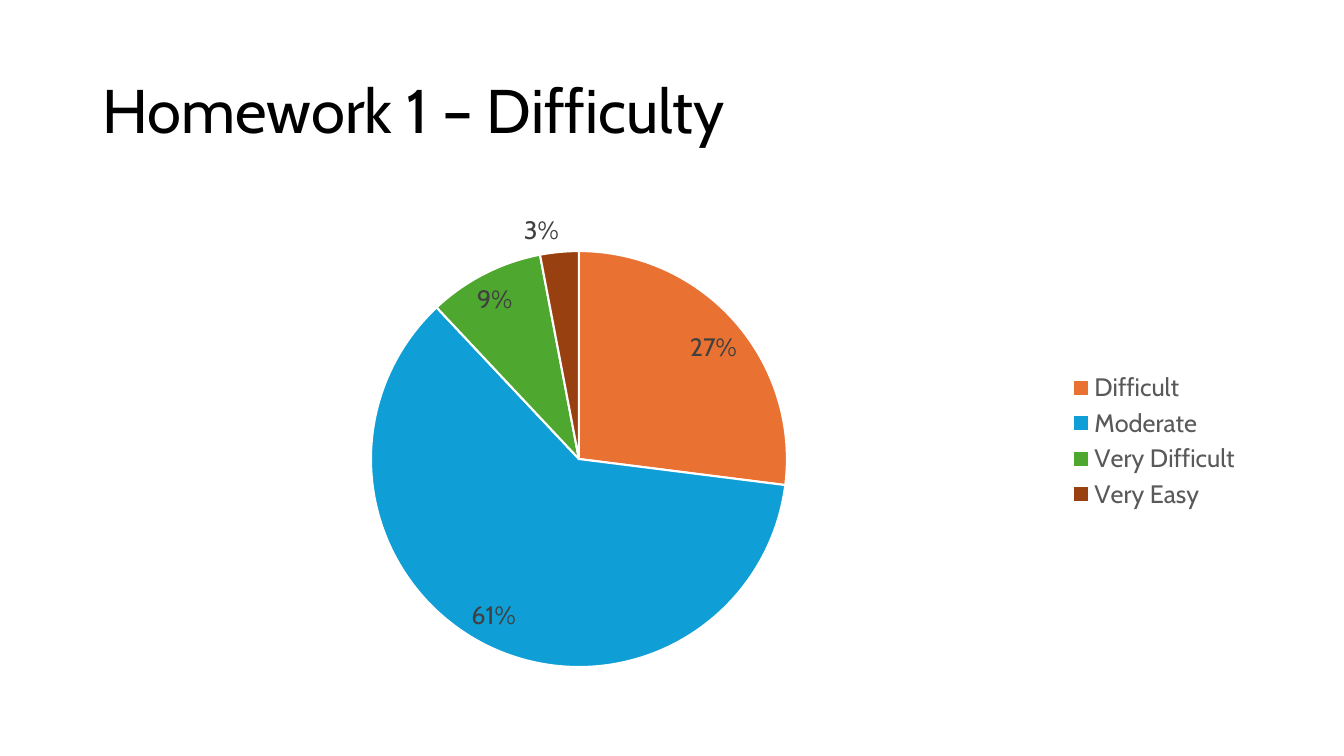
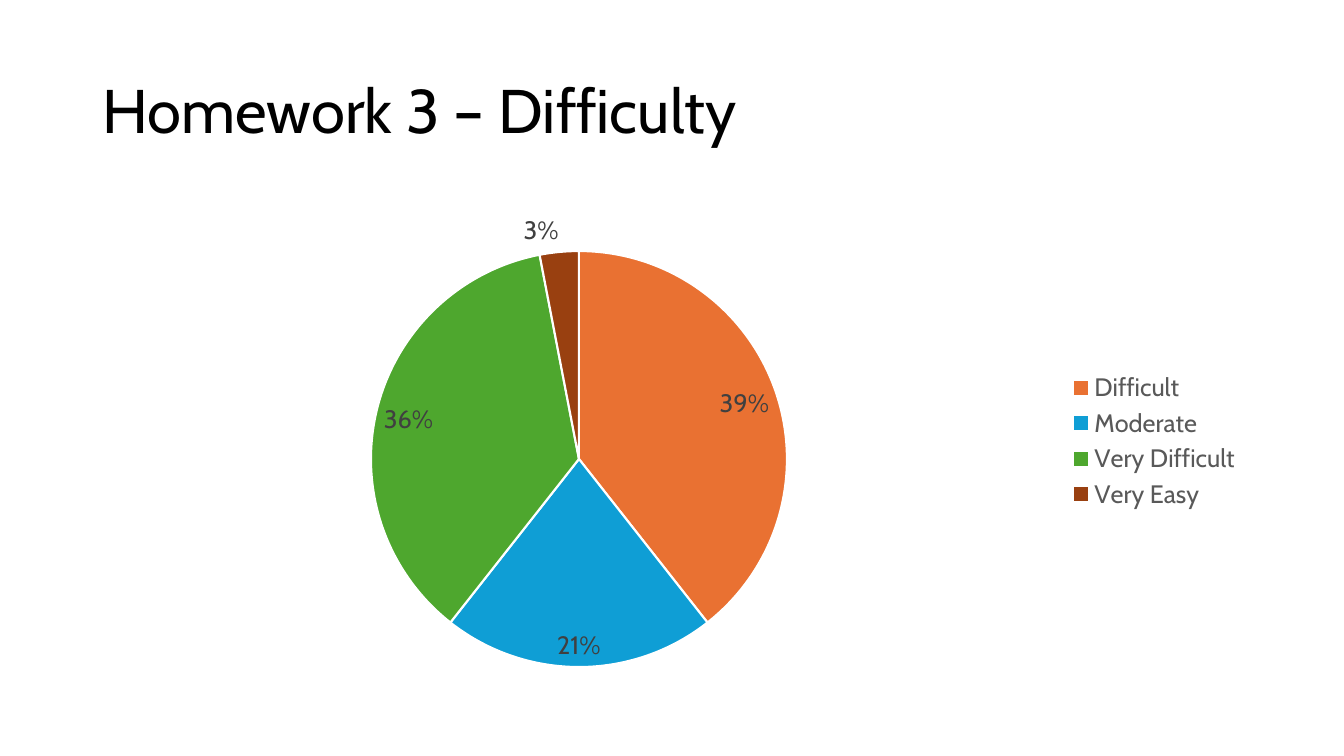
from pptx import Presentation
from pptx.chart.data import CategoryChartData
from pptx.dml.color import RGBColor
from pptx.enum.chart import XL_CHART_TYPE, XL_LABEL_POSITION, XL_LEGEND_POSITION
from pptx.enum.text import MSO_ANCHOR
from pptx.util import Cm, Pt

PIE = XL_CHART_TYPE.PIE
BEST_FIT = XL_LABEL_POSITION.BEST_FIT
RIGHT = XL_LEGEND_POSITION.RIGHT
MIDDLE = MSO_ANCHOR.MIDDLE

FONT = "Cabin"
COLORS = {
    "title": "000000",
    "legend": "595959",
    "label": "404040",
    "border": "FFFFFF",
}
SLICES = {
    "Difficult": "E97132",
    "Moderate": "0F9ED5",
    "Very Difficult": "4EA72E",
    "Very Easy": "994010",
}
RATINGS = {
    "Homework 1 – Difficulty": (27, 61, 9, 3),
    "Homework 3 – Difficulty": (39, 21, 36, 3),
}
LEFT, WIDTH = Cm(2.33), Cm(29.21)


def style_font(font, size, color):
    font.name = FONT
    font.size = Pt(size)
    font.color.rgb = RGBColor.from_string(color)


def add_title(s, text):
    sp = s.shapes.add_textbox(LEFT, Cm(1.01), WIDTH, Cm(3.68))
    tf = sp.text_frame
    tf.word_wrap = True
    tf.vertical_anchor = MIDDLE
    tf.text = text
    p = tf.paragraphs[0]
    p.line_spacing = 0.9
    style_font(p.runs[0].font, 44, COLORS["title"])


def add_pie(s, values):
    data = CategoryChartData()
    data.categories = list(SLICES)
    data.add_series("Series 1", values)
    chart = s.shapes.add_chart(PIE, LEFT, Cm(5.07), WIDTH, Cm(12.09), data).chart
    chart.has_title = False
    style_font(chart.font, 18, COLORS["title"])

    chart.has_legend = True
    chart.legend.position = RIGHT
    chart.legend.include_in_layout = False
    style_font(chart.legend.font, 18, COLORS["legend"])

    plot = chart.plots[0]
    plot.vary_by_categories = True
    series = plot.series[0]
    for i, color in enumerate(SLICES.values()):
        slice_format = series.points[i].format
        slice_format.fill.solid()
        slice_format.fill.fore_color.rgb = RGBColor.from_string(color)
        slice_format.line.color.rgb = RGBColor.from_string(COLORS["border"])
        slice_format.line.width = Pt(1.5)

    labels = series.data_labels
    labels.show_value = False
    labels.show_percentage = True
    labels.number_format = "0%"
    labels.number_format_is_linked = False
    labels.position = BEST_FIT
    style_font(labels.font, 18, COLORS["label"])


def main():
    prs = Presentation()
    prs.slide_width, prs.slide_height = Cm(33.87), Cm(19.05)
    blank = prs.slide_layouts[6]
    for title, values in RATINGS.items():
        s = prs.slides.add_slide(blank)
        add_title(s, title)
        add_pie(s, values)
    prs.save("out.pptx")


if __name__ == "__main__":
    main()
